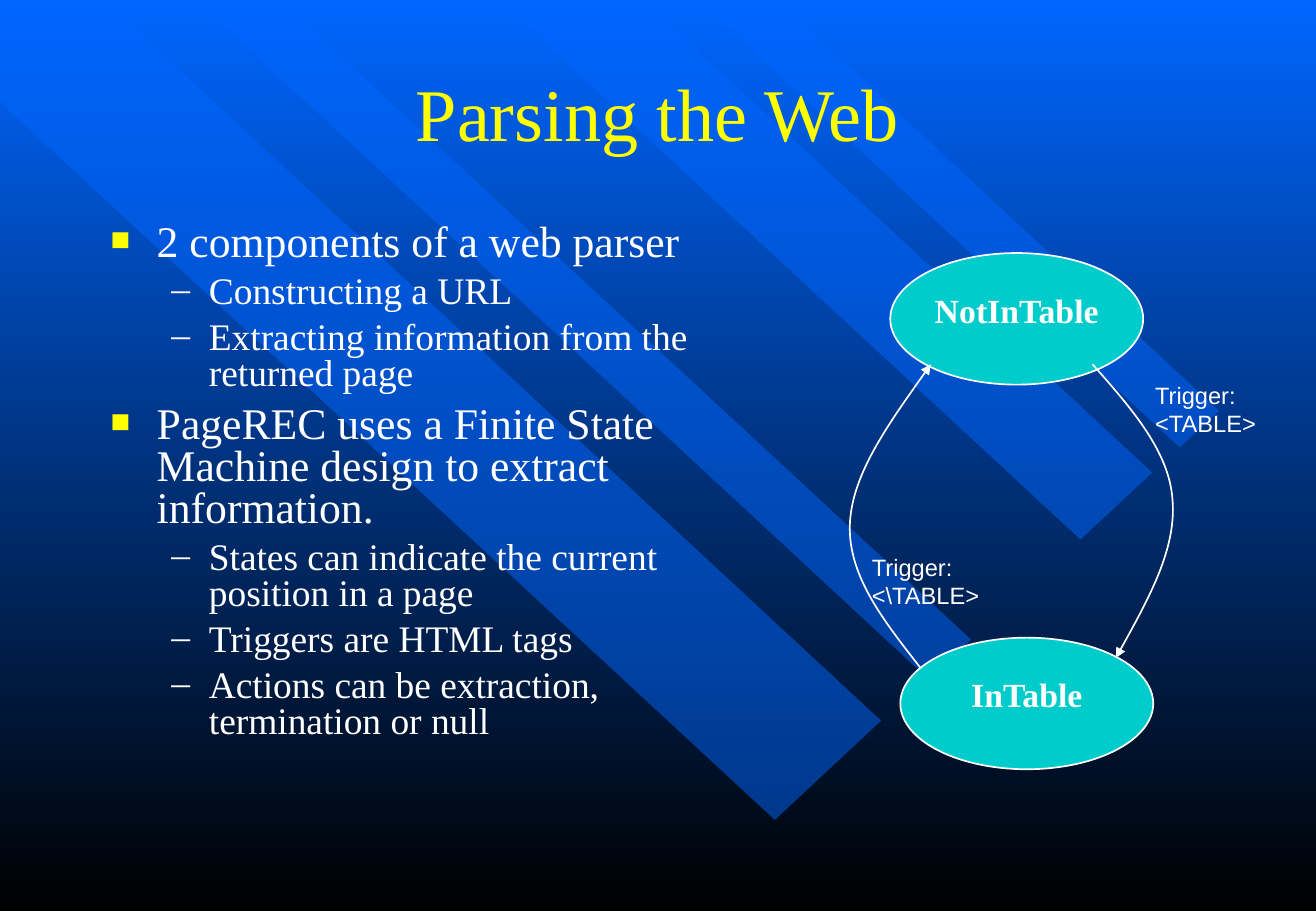
"""Build the slide 'Parsing the Web' with its two-state machine."""
from lxml.etree import SubElement
from pptx import Presentation
from pptx.dml.color import RGBColor
from pptx.enum.shapes import MSO_SHAPE
from pptx.enum.text import MSO_ANCHOR, PP_ALIGN
from pptx.oxml.ns import qn
from pptx.util import Inches, Pt

HUES = {"blue": "0066FF", "black": "000000", "gold": "FFFF00",
        "white": "FFFFFF", "teal": "00CCCC"}
RGB = {name: RGBColor.from_string(code) for name, code in HUES.items()}
CELL = Inches(1) / 12
SERIF, SANS = "Times New Roman", "Arial"

deck = Presentation()
deck.slide_width, deck.slide_height = Inches(10.84), Inches(7.5)
slide = deck.slides.add_slide(deck.slide_layouts[6])
shapes = slide.shapes

back = slide.background.fill
back.gradient()
back.gradient_angle = 270
for stop, hue, place in zip(back.gradient_stops, ("blue", "black"), (0, 1)):
    stop.color.rgb = RGB[hue]
    stop.position = place


def trace(points, close):
    """Draw an outline through grid points."""
    spots = [(round(x * CELL), round(y * CELL)) for x, y in points]
    pen = shapes.build_freeform(*spots[0], scale=1.0)
    pen.add_line_segments(spots[1:], close=close)
    form = pen.convert_to_shape()
    form.shadow.inherit = False
    return form


def write(grid, items, font, hue, align=PP_ALIGN.LEFT, bold=False):
    """Add a text box; each item is text, size and space before."""
    box = shapes.add_textbox(*(round(n * CELL) for n in grid))
    frame = box.text_frame
    frame.word_wrap = True
    for row, (text, size, gap) in enumerate(items):
        para = frame.paragraphs[0] if row == 0 else frame.add_paragraph()
        para.alignment = align
        para.space_before = Pt(gap)
        for part, line in enumerate(text.split("\n")):
            if part:
                para.add_line_break()
            run = para.add_run()
            run.text = line
            run.font.name, run.font.size = font, Pt(size)
            run.font.bold = bold
            run.font.color.rgb = RGB[hue]
    return frame


bands = [
    [(87.1, 71.2), (10.3, 0), (0, 0), (0, 10.1), (76.6, 81)],
    [(27.7, 0), (96, 63.2), (91.8, 67.1), (19.4, 0)],
    [(63.6, 0), (113.9, 46.7), (106.8, 53.3), (49.3, 0)],
    [(69, 0), (116.6, 44.2), (120.5, 40.6), (76.8, 0)],
]
for points in bands:
    band = trace(points, True)
    band.fill.solid()
    band.fill.fore_color.rgb = RGB["blue"]
    band.line.fill.background()
    tint = band.fill._xPr.find(qn("a:solidFill"))[0]
    SubElement(tint, qn("a:alpha"), val="50000")

title = write((9.75, 3, 110.5, 16), [("Parsing the Web", 44, 0)],
              SERIF, "gold", PP_ALIGN.CENTER)
title.vertical_anchor = MSO_ANCHOR.MIDDLE

levels = [
    {"size": 25.9, "gap": 7, "left": 0.38, "hang": 0.38,
     "hue": "gold", "share": "75000", "mark": "■"},
    {"size": 22.2, "gap": 6, "left": 0.81, "hang": 0.31,
     "hue": "white", "share": "100000", "mark": "–"},
]
points = [
    (0, "2 components of a web parser"),
    (1, "Constructing a URL"),
    (1, "Extracting information from the returned page"),
    (0, "PageREC uses a Finite State Machine design to extract information."),
    (1, "States can indicate the current position in a page"),
    (1, "Triggers are HTML tags"),
    (1, "Actions can be extraction, termination or null"),
]
body = write((9.75, 21.5, 60.25, 58.5),
             [(text, levels[n]["size"], levels[n]["gap"]) for n, text in points],
             SERIF, "white")
for para, (depth, text) in zip(body.paragraphs, points):
    style = levels[depth]
    para.level = depth
    para.line_spacing = 0.8
    props = para._p.get_or_add_pPr()
    props.set("marL", str(Inches(style["left"])))
    props.set("indent", str(-Inches(style["hang"])))
    tint = SubElement(props, qn("a:buClr"))
    SubElement(tint, qn("a:srgbClr"), val=HUES[style["hue"]])
    SubElement(props, qn("a:buSzPct"), val=style["share"])
    SubElement(props, qn("a:buFont"), typeface=SERIF)
    SubElement(props, qn("a:buChar"), char=style["mark"])

for name, left, top in (("NotInTable", 88, 25), ("InTable", 89, 63)):
    state = shapes.add_shape(MSO_SHAPE.OVAL, *(
        round(n * CELL) for n in (left, top, 25, 13)))
    state.shadow.inherit = False
    state.fill.solid()
    state.fill.fore_color.rgb = RGB["teal"]
    state.line.color.rgb = RGB["white"]
    state.line.width = Pt(1)
    write((left + 2, top + 3, 21, 5.25), [(name, 20, 12.5)],
          SERIF, "white", PP_ALIGN.CENTER, True)

moves = [
    ("<TABLE>", (113, 37),
     [(108, 36), (111.8, 40.3), (115.6, 44.6), (115.9, 49.4),
      (116.3, 54.2), (113.3, 59.6), (110.3, 65)]),
    ("<\\TABLE>", (85, 54),
     [(91, 66), (87.4, 61.4), (83.9, 57), (84, 52),
      (84.1, 47), (88.1, 41.5), (92, 36)]),
]
for tag, spot, points in moves:
    write((*spot, 16, 6.8), [("Trigger:\n" + tag, 14, 8.8)], SANS, "white")
    arc = trace(points, False)
    arc.fill.background()
    arc.line.color.rgb = RGB["white"]
    arc.line.width = Pt(1)
    SubElement(arc.line._get_or_add_ln(), qn("a:tailEnd"), type="triangle")
    route = next(arc._element.iter(qn("a:moveTo"))).getparent()
    steps = route.findall(qn("a:lnTo"))
    for first in range(0, len(steps), 3):
        curve = SubElement(route, qn("a:cubicBezTo"))
        for step in steps[first:first + 3]:
            curve.append(step[0])
            route.remove(step)

deck.save("out.pptx")
